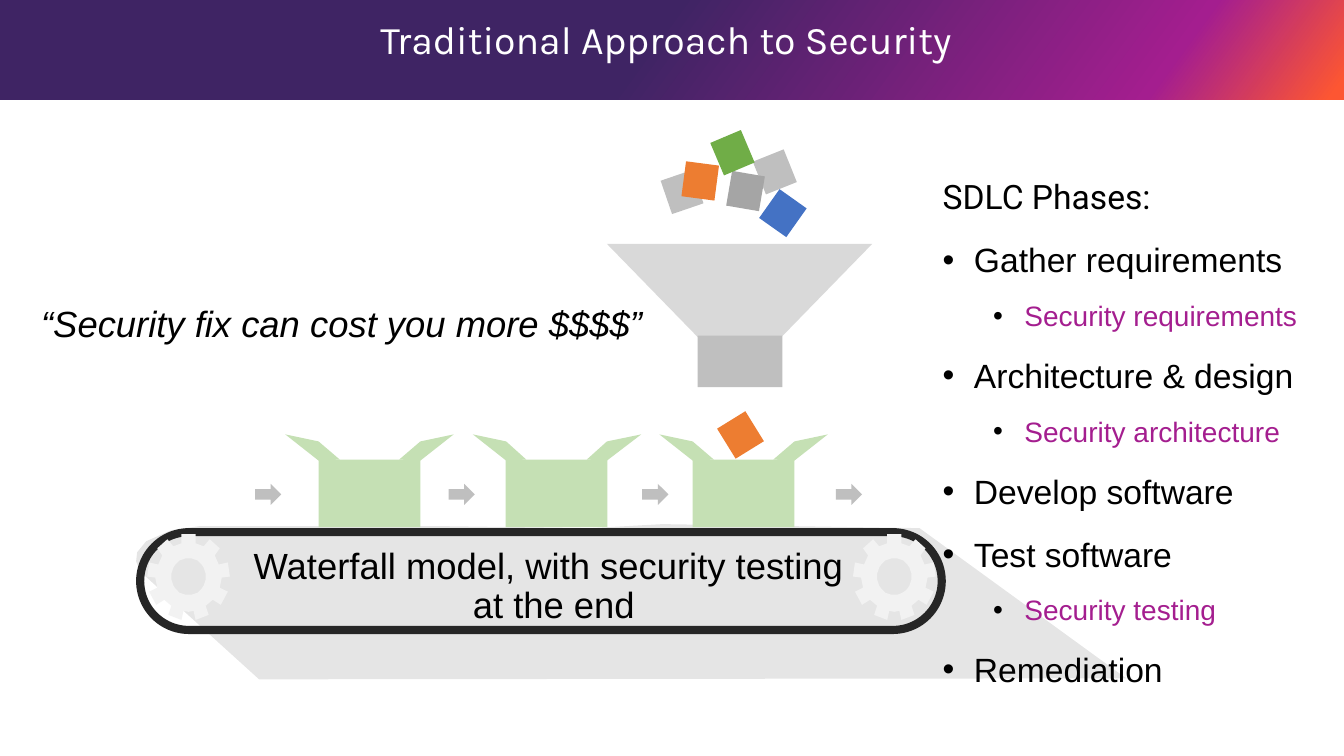
import math
from lxml import etree
from pptx import Presentation
from pptx.dml.color import RGBColor
from pptx.enum import shapes, text
from pptx.oxml import ns
from pptx.util import Inches, Pt

C = {"indigo": "3F2464", "magenta": "A41E8F", "flame": "FD5632",
     "black": "000000", "white": "FFFFFF", "belt": "262626", "gear": "F2F2F2",
     "funnel": "D9D9D9", "silver": "BFBFBF", "grey": "A5A5A5", "box": "C5E0B4",
     "orange": "ED7D31", "green": "70AD47", "blue": "4472C4"}
SHAPE = shapes.MSO_SHAPE


def paint(sp, colour):
    """Give a shape a flat fill with no outline or shadow."""
    sp.shadow.inherit = False
    sp.fill.solid()
    sp.fill.fore_color.rgb = RGBColor.from_string(C[colour])
    sp.line.fill.background()
    return sp


def freeform(contours, colour):
    """Draw closed contours, given in inches, as one shape."""
    scaled = [[(x * 100, y * 100) for x, y in pts] for pts in contours]
    fb = s.shapes.build_freeform(*scaled[0][0], scale=Inches(0.01))
    fb.add_line_segments(scaled[0][1:], close=True)
    for pts in scaled[1:]:
        fb.move_to(*pts[0])
        fb.add_line_segments(pts[1:], close=True)
    return paint(fb.convert_to_shape(), colour)


prs = Presentation()
prs.slide_width, prs.slide_height = Inches(13.33), Inches(7.5)
s = prs.slides.add_slide(prs.slide_layouts[1])
title, phases = s.placeholders[0], s.placeholders[1]

# Header band with a three-stop gradient
band = s.shapes.add_shape(SHAPE.RECTANGLE, 0, 0, prs.slide_width, Inches(0.99))
band.shadow.inherit = False
band.line.fill.background()
band.fill.gradient()
grad = band.element.spPr.find(ns.qn("a:gradFill"))
stops = grad.find(ns.qn("a:gsLst"))
for gs in list(stops):
    stops.remove(gs)
for pos, colour in [(48, "indigo"), (86, "magenta"), (99, "flame")]:
    gs = etree.SubElement(stops, ns.qn("a:gs"), pos=str(pos * 1000))
    etree.SubElement(gs, ns.qn("a:srgbClr"), val=C[colour])
lin = grad.find(ns.qn("a:lin"))
lin.set("ang", str(36 * 60000))
lin.set("scaled", "0")

# Shadow cast by the conveyor
shadow = freeform([[(1.39, 5.67), (2.57, 6.74), (11.17, 6.73), (9.12, 5.24),
                    (6.57, 5.2), (5.86, 5.24), (4.35, 5.22), (1.98, 5.22),
                    (1.7, 5.26), (1.45, 5.37), (1.36, 5.48), (1.35, 5.57)]], "black")
clr = shadow.element.spPr.find(".//" + ns.qn("a:srgbClr"))
etree.SubElement(clr, ns.qn("a:alpha"), val="10000")

# Cubes, the first one falling out of the funnel
for x, y, angle, colour in [
        (7.18, 4.14, 328.3, "orange"), (7.52, 1.53, 338.1, "silver"),
        (6.6, 1.73, 341.1, "silver"), (6.78, 1.62, 7.5, "orange"),
        (7.23, 1.72, 9.7, "grey"), (7.1, 1.34, 337.1, "green"),
        (7.6, 1.94, 35.3, "blue")]:
    cube = paint(s.shapes.add_shape(SHAPE.RECTANGLE, Inches(x), Inches(y),
                                    Inches(0.33), Inches(0.35)), colour)
    cube.rotation = angle

# Funnel
cone = paint(s.shapes.add_shape(SHAPE.ISOSCELES_TRIANGLE, Inches(6.02), Inches(2.42),
                                Inches(2.63), Inches(1.35)), "funnel")
cone.rotation = 180
paint(s.shapes.add_shape(SHAPE.RECTANGLE, Inches(6.92), Inches(3.33),
                         Inches(0.84), Inches(0.51)), "silver")

# Open boxes: each flap mirrors the other about the centre
box_w, box_y = 1.01, 4.56
flap = [(0, 0.01), (-0.33, -0.25), (0, -0.18), (0.21, 0)]
for i in range(3):
    x = 3.16 + 1.855 * i
    freeform([[(x + dx, box_y + dy) for dx, dy in flap]], "box")
    freeform([[(x + box_w - dx, box_y + dy) for dx, dy in flap]], "box")
    paint(s.shapes.add_shape(SHAPE.RECTANGLE, Inches(x), Inches(box_y),
                             Inches(box_w), Inches(0.67)), "box")

for i in range(4):
    paint(s.shapes.add_shape(SHAPE.RIGHT_ARROW, Inches(2.53 + 1.92 * i), Inches(4.8),
                             Inches(0.26), Inches(0.21)), "silver")

# Conveyor belt
belt = s.shapes.add_shape(SHAPE.ROUNDED_RECTANGLE, Inches(1.39), Inches(5.28),
                          Inches(7.95), Inches(0.97))
belt.adjustments[0] = 0.5
belt.shadow.inherit = False
belt.fill.background()
belt.line.color.rgb = RGBColor.from_string(C["belt"])
belt.line.width = Pt(5.8)

# Gears: the right half, top to bottom, is mirrored for the left
half = [(0.07, -0.42), (0.07, -0.33), (0.15, -0.3), (0.21, -0.37), (0.31, -0.28),
        (0.26, -0.21), (0.3, -0.12), (0.39, -0.14), (0.41, 0), (0.33, 0.01),
        (0.31, 0.11), (0.39, 0.15), (0.32, 0.28), (0.24, 0.23), (0.17, 0.29),
        (0.2, 0.38), (0.07, 0.43), (0.05, 0.34), (0, 0.35)]
teeth = half + [(-dx, dy) for dx, dy in reversed(half)]
hole = [(0.17 * math.cos(a), -0.18 * math.sin(a))
        for a in (math.tau * k / 36 for k in range(36))]
for cx in (1.87, 8.87):
    freeform([[(cx + dx, 5.72 + dy) for dx, dy in ring] for ring in (teeth, hole)], "gear")

# Title, conveyor caption and quote
caption = s.shapes.add_textbox(0, 0, 0, 0)
quote = s.shapes.add_textbox(0, 0, 0, 0)
for sp, at, lines, size, font, colour, italic, align in [
        (title, (0.41, 0.15, 12.39, 0.63), ["Traditional Approach to Security"],
         28, "Karla", "white", False, text.PP_ALIGN.CENTER),
        (caption, (2.16, 5.39, 6.67, 0.9),
         ["Waterfall model, with security testing ", "at the end"],
         26, "Arial", "black", False, text.PP_ALIGN.CENTER),
        (quote, (0.31, 2.94, 6.23, 0.5), ["“Security fix can cost you more $$$$”"],
         26, "Arial", "black", True, text.PP_ALIGN.LEFT)]:
    sp.left, sp.top, sp.width, sp.height = map(Inches, at)
    tf = sp.text_frame
    tf.word_wrap = sp is not quote
    tf.auto_size = text.MSO_AUTO_SIZE.NONE
    tf.vertical_anchor = text.MSO_ANCHOR.TOP
    for i, line in enumerate(lines):
        p = tf.add_paragraph() if i else tf.paragraphs[0]
        p.alignment = align
        p.line_spacing = 1.0 if sp is quote else 0.9
        r = p.add_run()
        r.text = line
        r.font.size, r.font.name, r.font.italic = Pt(size), font, italic
        r.font.color.rgb = RGBColor.from_string(C[colour])

# Phase list: level None is the heading
phases.left, phases.top, phases.width, phases.height = map(Inches, (9.25, 1.74, 3.97, 5.28))
tf = phases.text_frame
tf.word_wrap = True
tf.auto_size = text.MSO_AUTO_SIZE.NONE
for i, (level, line) in enumerate([
        (None, "SDLC Phases:"), (0, "Gather requirements"), (1, "Security requirements"),
        (0, "Architecture & design"), (1, "Security architecture"),
        (0, "Develop software"), (0, "Test software"), (1, "Security testing"),
        (0, "Remediation")]):
    p = tf.add_paragraph() if i else tf.paragraphs[0]
    p.level = level or 0
    p.line_spacing = 0.9 if level is None else 1.5
    p.space_before = Pt(1.7 if i else 0)
    pPr = p._p.get_or_add_pPr()
    if level is None:
        pPr.set("marL", "0")
        pPr.set("indent", "0")
        etree.SubElement(pPr, ns.qn("a:buNone"))
    else:
        pPr.set("marL", str(Inches(0.31 + 0.5 * level)))
        pPr.set("indent", str(Inches(-0.31)))
        bu = etree.SubElement(pPr, ns.qn("a:buClr"))
        etree.SubElement(bu, ns.qn("a:srgbClr"), val=C["black"])
        etree.SubElement(pPr, ns.qn("a:buFont"), typeface="Arial")
        etree.SubElement(pPr, ns.qn("a:buChar"), char="•")
    r = p.add_run()
    r.text = line
    r.font.name = "Roboto" if level is None else "Arial"
    r.font.size = Pt(20 if level else 24)
    r.font.color.rgb = RGBColor.from_string(C["magenta" if level else "black"])

# Bring the placeholders in front of the drawing
for ph in (phases, title):
    ph.element.getparent().append(ph.element)

prs.save("out.pptx")
